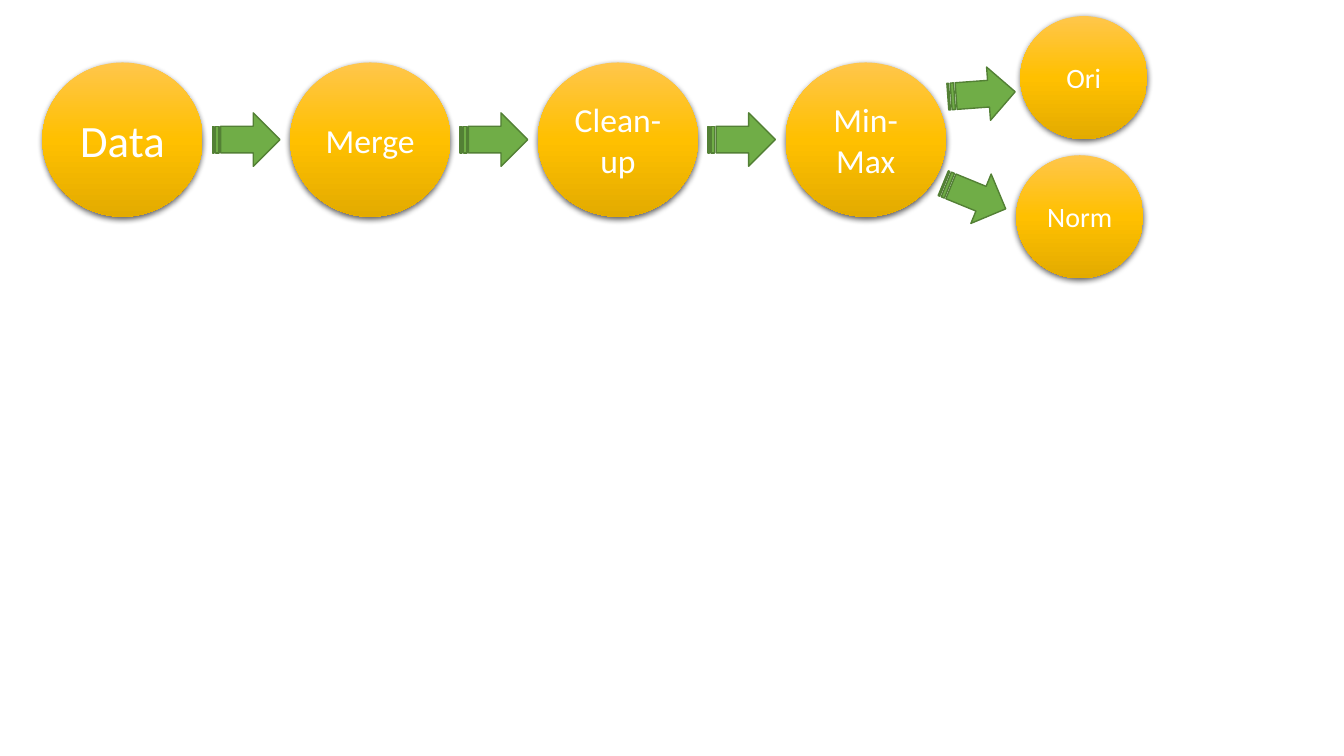
from copy import deepcopy
from dataclasses import dataclass

from lxml import etree
from pptx import Presentation
from pptx.dml.color import RGBColor
from pptx.enum.shapes import MSO_SHAPE
from pptx.enum.text import MSO_ANCHOR, PP_ALIGN
from pptx.oxml.ns import qn
from pptx.util import Inches, Pt

OVAL = MSO_SHAPE.OVAL
STRIPED_ARROW = MSO_SHAPE.STRIPED_RIGHT_ARROW
MIDDLE = MSO_ANCHOR.MIDDLE
CENTER = PP_ALIGN.CENTER


@dataclass(frozen=True)
class Theme:
    font: str = "Calibri"
    text: str = "FFFFFF"
    gold: tuple = ((0, "FFC64B"), (0.5, "FFC000"), (1, "E3AB00"))
    green: str = "70AD47"
    green_edge: str = "538035"
    shadow: str = "000000"
    large: int = 32
    medium: int = 24
    small: int = 20


THEME = Theme()
STEP_SIZE = (1.59, 1.53)
RESULT_SIZE = (1.26, 1.22)
ARROW_SIZE = (0.67, 0.53)


def add_text(sp, text, *, size, color=THEME.text, font=THEME.font):
    tf = sp.text_frame
    tf.word_wrap = True
    tf.vertical_anchor = MIDDLE
    p = tf.paragraphs[0]
    p.alignment = CENTER
    r = p.add_run()
    r.text = text
    r.font.name = font
    r.font.size = Pt(size)
    r.font.color.rgb = RGBColor.from_string(color)


def fill_gold(sp):
    sp.fill.gradient()
    sp.fill.gradient_angle = 270  # top to bottom
    stop_list = sp._element.spPr.find(qn("a:gradFill")).find(qn("a:gsLst"))
    stop_list.append(deepcopy(stop_list[0]))
    for stop, (position, color) in zip(sp.fill.gradient_stops, THEME.gold):
        stop.position = position
        stop.color.rgb = RGBColor.from_string(color)


def add_soft_shadow(sp):
    sp.shadow.inherit = False
    effects = sp._element.spPr.find(qn("a:effectLst"))
    shadow = etree.SubElement(effects, qn("a:outerShdw"), blurRad=str(Pt(4.5)),
                              dist=str(Pt(1.5)), dir="5400000", algn="ctr", rotWithShape="0")
    color = etree.SubElement(shadow, qn("a:srgbClr"), val=THEME.shadow)
    etree.SubElement(color, qn("a:alpha"), val="63000")


def add_circle(slide, text, left, top, size, font_size):
    sp = slide.shapes.add_shape(OVAL, *map(Inches, (left, top, *size)))
    fill_gold(sp)
    sp.line.fill.background()
    add_soft_shadow(sp)
    add_text(sp, text, size=font_size)


def add_arrow(slide, left, top, rotation=0):
    sp = slide.shapes.add_shape(STRIPED_ARROW, *map(Inches, (left, top, *ARROW_SIZE)))
    sp.rotation = rotation
    sp.fill.solid()
    sp.fill.fore_color.rgb = RGBColor.from_string(THEME.green)
    sp.line.color.rgb = RGBColor.from_string(THEME.green_edge)
    sp.line.width = Pt(1)
    sp.shadow.inherit = False


def add_steps(slide, left, top):
    """Row of processing steps with an arrow in each gap."""
    pitch = 2.457
    steps = (("Data", THEME.large), ("Merge", THEME.medium),
             ("Clean-up", THEME.medium), ("Min-Max", THEME.medium))
    for i, (text, font_size) in enumerate(steps):
        x = left + i * pitch
        if i:
            add_arrow(slide, x - 0.77, top + 0.5)
        add_circle(slide, text, x, top, STEP_SIZE, font_size)


def add_results(slide, left, top):
    """Two branches leaving the last step."""
    add_arrow(slide, left, top + 1.52, rotation=22.3)
    add_circle(slide, "Ori", left + 0.79, top, RESULT_SIZE, THEME.small)
    add_arrow(slide, left + 0.07, top + 0.51, rotation=355.8)
    add_circle(slide, "Norm", left + 0.75, top + 1.38, RESULT_SIZE, THEME.small)


def main():
    prs = Presentation()
    prs.slide_width = Inches(13.33)
    prs.slide_height = Inches(7.5)
    slide = prs.slides.add_slide(prs.slide_layouts[6])
    add_steps(slide, 0.42, 0.62)
    add_results(slide, 9.33, 0.16)
    prs.save("out.pptx")


if __name__ == "__main__":
    main()
